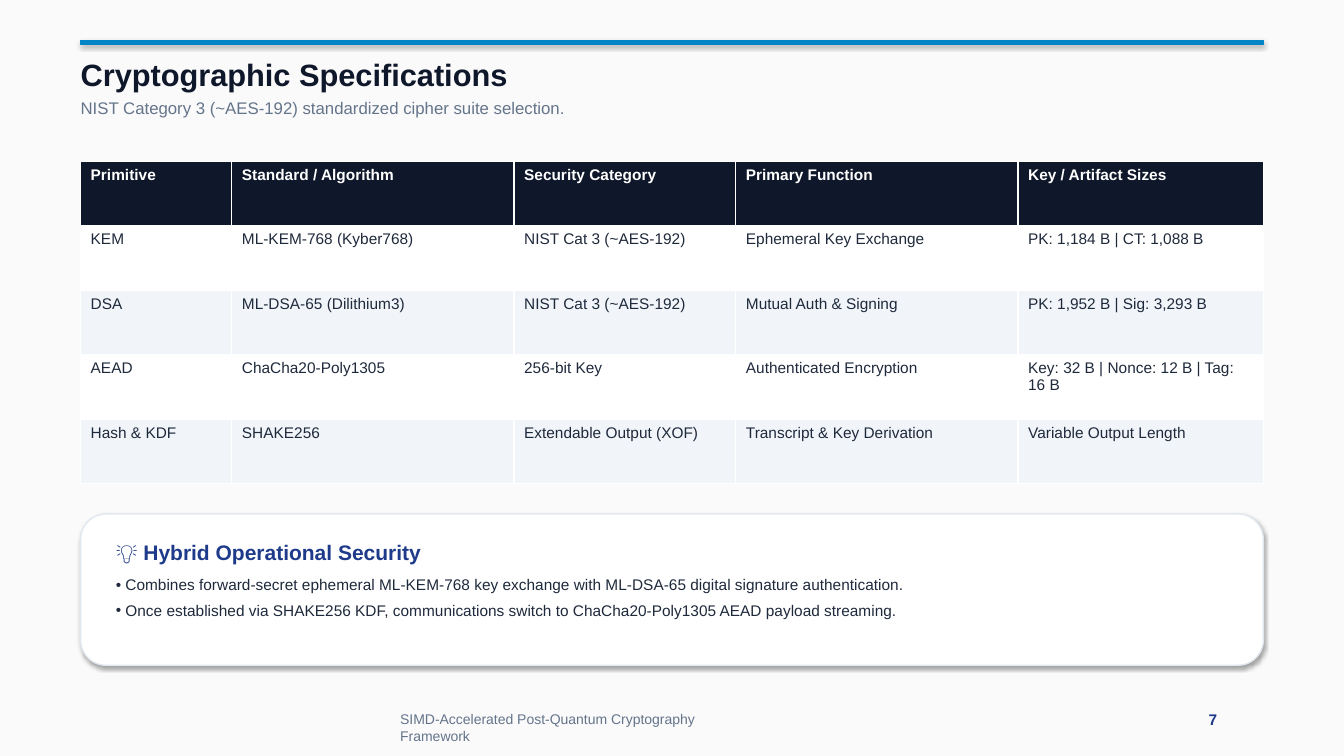
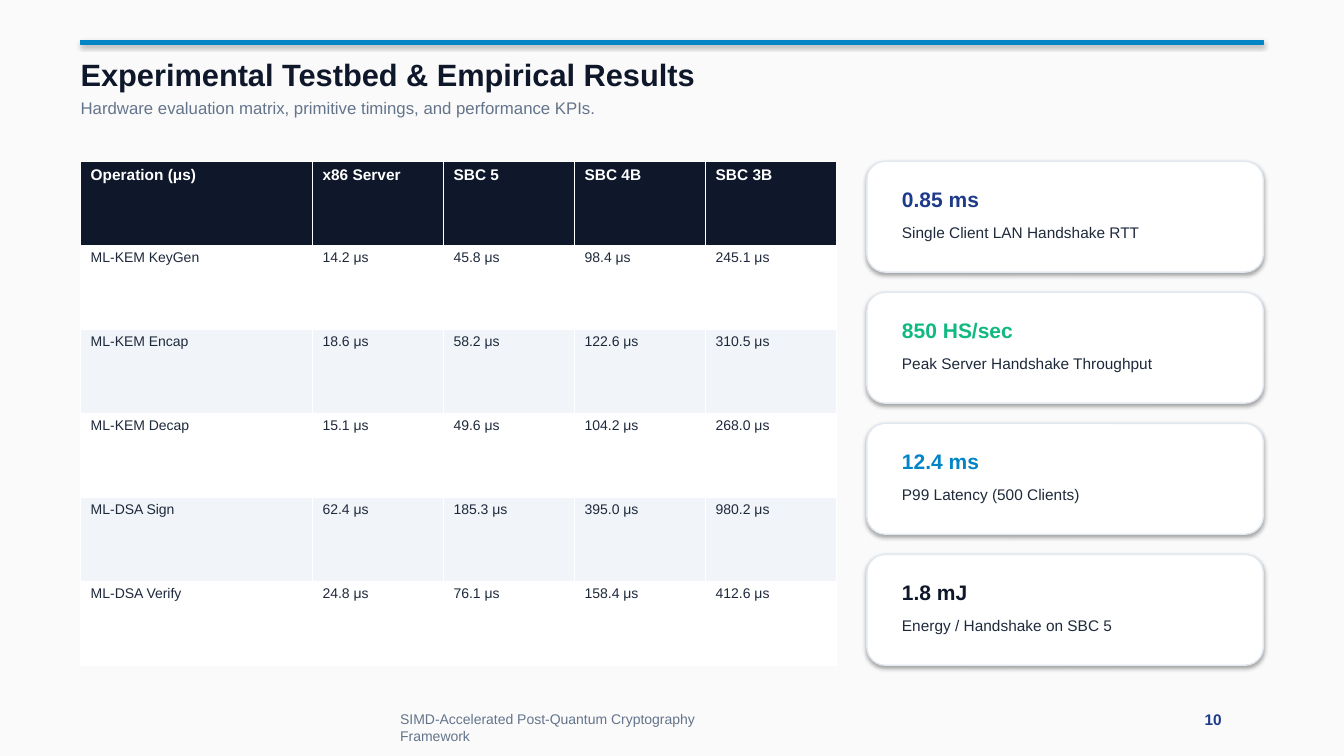
"""Build two slides on post-quantum cryptography: cipher suite and test results."""
import lxml.etree
import pptx
import pptx.dml.color
import pptx.enum.shapes
import pptx.enum.text
import pptx.oxml.ns
import pptx.util

Pt = pptx.util.Pt
qn = pptx.oxml.ns.qn
SHAPE = pptx.enum.shapes.MSO_SHAPE
ALIGN = pptx.enum.text.PP_ALIGN

INK, NAVY, BLUE, GREEN = "0F172A", "1E3A8A", "0284C7", "10B981"
BODY, MUTED, WHITE, STRIPE = "1E293B", "64748B", "FFFFFF", "F1F5F9"
PAPER, EDGE = "FAFAFA", "E2E8F0"
FONT = "Arial"
LEFT, TOP, WIDTH = 57.6, 115.2, 844.8
FOOTER = "SIMD-Accelerated Post-Quantum Cryptography Framework"


def rgb(code):
    return pptx.dml.color.RGBColor.from_string(code)


def node(parent, tag, **attrs):
    item = lxml.etree.SubElement(parent, qn(tag))
    for key, value in attrs.items():
        item.set(key, str(value))
    return item


class Deck:
    def __init__(self):
        self.prs = pptx.Presentation()
        self.prs.slide_width, self.prs.slide_height = Pt(960), Pt(540)
        self.slide = None

    def start(self, title, lead, number):
        self.slide = self.prs.slides.add_slide(self.prs.slide_layouts[6])
        fill = self.slide.background.fill
        fill.solid()
        fill.fore_color.rgb = rgb(PAPER)
        self.panel(SHAPE.RECTANGLE, (LEFT, 28.8, WIDTH, 2.88), BLUE, BLUE, 0.75)
        head = self.box(LEFT, 39.6, WIDTH, 44.6, inset=False)
        self.line(head, title, 22, INK, bold=True)
        self.line(head, lead, 12, MUTED, before=4)
        foot = self.box(278.8, 504, 277, 19.4, wrap=False)
        self.line(foot, FOOTER, 10, MUTED)
        wide = 14 + 6.3 * len(number)
        page = self.box(866.5 - wide / 2, 504, wide, 20.2, wrap=False)
        self.line(page, number, 11, NAVY, bold=True, align=ALIGN.RIGHT)

    def panel(self, kind, area, fill, edge, weight):
        shape = self.slide.shapes.add_shape(kind, *map(Pt, area))
        shape.fill.solid()
        shape.fill.fore_color.rgb = rgb(fill)
        shape.line.color.rgb = rgb(edge)
        shape.line.width = Pt(weight)
        shape.shadow.inherit = False
        effects = shape.element.spPr.find(qn("a:effectLst"))
        shade = node(effects, "a:outerShdw", blurRad=Pt(3.15), dist=Pt(1.8),
                     dir=5400000, rotWithShape=0)
        node(node(shade, "a:srgbClr", val="000000"), "a:alpha", val=35000)

    def box(self, left, top, width, height, wrap=True, inset=True):
        frame = self.slide.shapes.add_textbox(*map(Pt, (left, top, width, height))).text_frame
        frame.word_wrap = wrap
        if not inset:
            frame.margin_left = frame.margin_right = 0
            frame.margin_top = frame.margin_bottom = 0
        return frame

    def line(self, frame, text, size, color, bold=False, before=0, after=0,
             align=None, bullet=False):
        para = frame.paragraphs[0]
        if para.runs:
            para = frame.add_paragraph()
        para.text = text
        if before:
            para.space_before = Pt(before)
        if after:
            para.space_after = Pt(after)
        if align is not None:
            para.alignment = align
        if bullet:
            props = para._p.get_or_add_pPr()
            props.set("marL", str(Pt(6.9)))
            props.set("indent", str(-Pt(6.9)))
            node(props, "a:buFont", typeface=FONT)
            node(props, "a:buChar", char="•")
        for run in para.runs:
            run.font.name = FONT
            run.font.size = Pt(size)
            run.font.bold = bold
            run.font.color.rgb = rgb(color)

    def card(self, left, top, width, height, title, color, lines, bullet=False):
        self.panel(SHAPE.ROUNDED_RECTANGLE, (left, top, width, height), WHITE, EDGE, 1)
        frame = self.box(left + 18, top + 14.4, width - 36, height - 32)
        self.line(frame, title, 15, color, bold=True, after=8)
        for text in lines:
            self.line(frame, text, 11, BODY, after=5, bullet=bullet)

    def table(self, widths, height, rows, size):
        area = (LEFT, TOP, sum(widths), height * len(rows))
        grid = self.slide.shapes.add_table(len(rows), len(widths), *map(Pt, area)).table
        for col, width in zip(grid.columns, widths):
            col.width = Pt(width)
        for r, row in enumerate(rows):
            grid.rows[r].height = Pt(height)
            for c, text in enumerate(row):
                cell = grid.cell(r, c)
                self.border(cell)
                cell.fill.solid()
                if r == 0:
                    cell.fill.fore_color.rgb = rgb(INK)
                    self.line(cell.text_frame, text, 11, WHITE, bold=True)
                else:
                    cell.fill.fore_color.rgb = rgb(WHITE if r % 2 else STRIPE)
                    self.line(cell.text_frame, text, size, BODY)

    def border(self, cell):
        props = cell._tc.get_or_add_tcPr()
        for side in "LRTB":
            edge = node(props, "a:ln" + side, w=Pt(0.96))
            node(node(edge, "a:solidFill"), "a:srgbClr", val=WHITE)


def main():
    deck = Deck()
    deck.start("Cryptographic Specifications",
               "NIST Category 3 (~AES-192) standardized cipher suite selection.", "7")
    deck.table([108, 201.6, 158.4, 201.6, 175.2], 46.08, [
        ("Primitive", "Standard / Algorithm", "Security Category",
         "Primary Function", "Key / Artifact Sizes"),
        ("KEM", "ML-KEM-768 (Kyber768)", "NIST Cat 3 (~AES-192)",
         "Ephemeral Key Exchange", "PK: 1,184 B | CT: 1,088 B"),
        ("DSA", "ML-DSA-65 (Dilithium3)", "NIST Cat 3 (~AES-192)",
         "Mutual Auth & Signing", "PK: 1,952 B | Sig: 3,293 B"),
        ("AEAD", "ChaCha20-Poly1305", "256-bit Key",
         "Authenticated Encryption", "Key: 32 B | Nonce: 12 B | Tag: 16 B"),
        ("Hash & KDF", "SHAKE256", "Extendable Output (XOF)",
         "Transcript & Key Derivation", "Variable Output Length"),
    ], 11)
    deck.card(LEFT, 367.2, WIDTH, 108, "💡 Hybrid Operational Security", NAVY, [
        "Combines forward-secret ephemeral ML-KEM-768 key exchange with "
        "ML-DSA-65 digital signature authentication.",
        "Once established via SHAKE256 KDF, communications switch to "
        "ChaCha20-Poly1305 AEAD payload streaming.",
    ], bullet=True)

    deck.start("Experimental Testbed & Empirical Results",
               "Hardware evaluation matrix, primitive timings, and performance KPIs.", "10")
    times = [
        ("ML-KEM KeyGen", "14.2", "45.8", "98.4", "245.1"),
        ("ML-KEM Encap", "18.6", "58.2", "122.6", "310.5"),
        ("ML-KEM Decap", "15.1", "49.6", "104.2", "268.0"),
        ("ML-DSA Sign", "62.4", "185.3", "395.0", "980.2"),
        ("ML-DSA Verify", "24.8", "76.1", "158.4", "412.6"),
    ]
    rows = [("Operation (μs)", "x86 Server", "SBC 5", "SBC 4B", "SBC 3B")]
    rows += [(name, *(f"{value} μs" for value in values)) for name, *values in times]
    deck.table([165.6] + [93.6] * 4, 60, rows, 10)
    cards = [
        ("0.85 ms", NAVY, "Single Client LAN Handshake RTT"),
        ("850 HS/sec", GREEN, "Peak Server Handshake Throughput"),
        ("12.4 ms", BLUE, "P99 Latency (500 Clients)"),
        ("1.8 mJ", INK, "Energy / Handshake on SBC 5"),
    ]
    for i, (value, color, label) in enumerate(cards):
        deck.card(619.2, TOP + 93.6 * i, 283.2, 79.2, value, color, [label])
    deck.prs.save("out.pptx")


if __name__ == "__main__":
    main()
